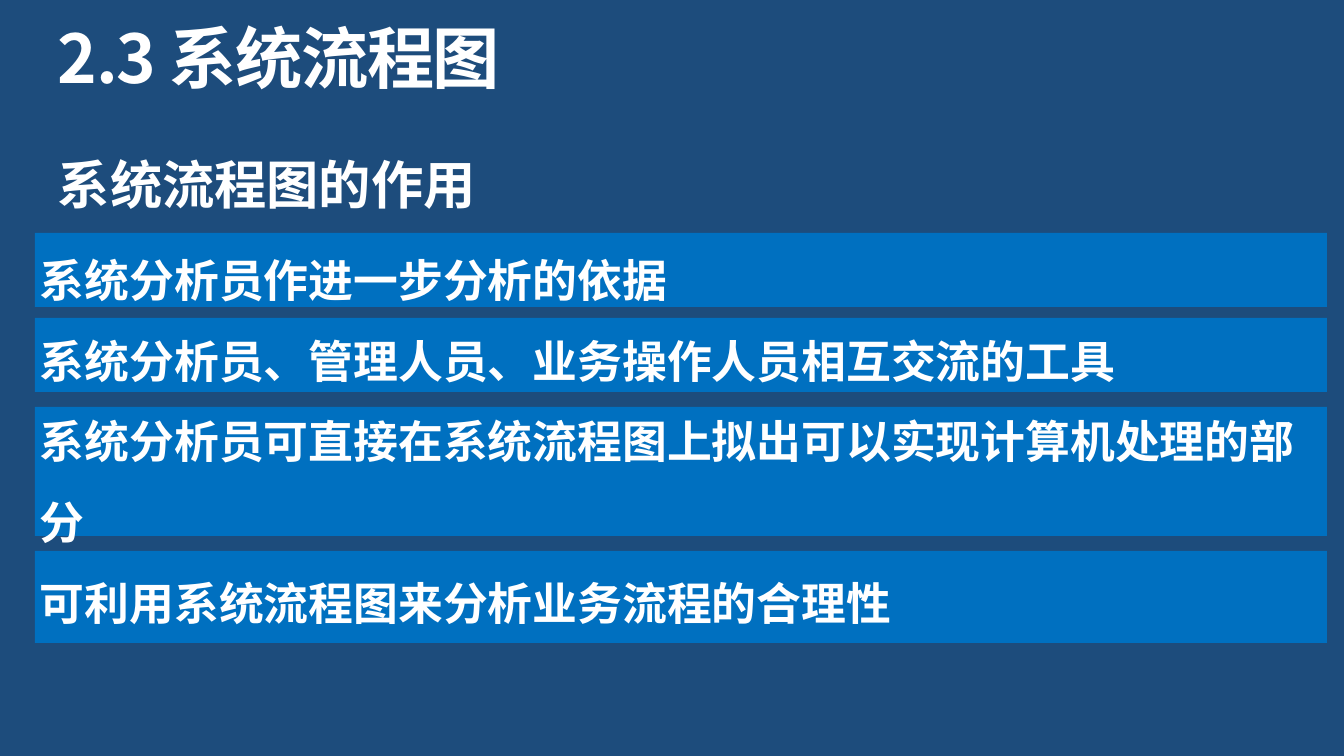
from dataclasses import dataclass

from pptx import Presentation
from pptx.dml.color import RGBColor
from pptx.enum.shapes import MSO_SHAPE
from pptx.enum.text import MSO_ANCHOR
from pptx.oxml.ns import qn
from pptx.util import Emu, Pt

RECT = MSO_SHAPE.RECTANGLE
TOP, MIDDLE = MSO_ANCHOR.TOP, MSO_ANCHOR.MIDDLE

PX = 914400 / 134.4  # EMU in one px
FONT = "Noto Sans CJK SC"
COLORS = {"background": "1D4C7C", "band": "0070C0", "text": "FFFFFF"}


@dataclass
class Band:
    top: int
    height: int


@dataclass
class TextBlock:
    left: int
    top: int
    width: int
    height: int
    lines: list[str]
    size: int
    line_spacing: float
    anchor: int = MIDDLE
    inset_x: int = 0
    inset_y: int = 0


BAND_LEFT, BAND_WIDTH = 35, 1292
BANDS = [Band(233, 74), Band(318, 74), Band(407, 129), Band(551, 92)]

TITLE = TextBlock(58, 25, 1230, 74, ["2.3 系统流程图"], 36, 0.9)
SUBTITLE = TextBlock(58, 160, 1230, 56, ["系统流程图的作用"], 28, 0.9)
USES = TextBlock(27, 219, 1302, 421, [
    "系统分析员作进一步分析的依据",
    "系统分析员、管理人员、业务操作人员相互交流的工具",
    "系统分析员可直接在系统流程图上拟出可以实现计算机处理的部分",
    "可利用系统流程图来分析业务流程的合理性",
], 24, 1.5, TOP, 13, 7)


def px(n: int) -> Emu:
    return Emu(round(n * PX))


def color(name: str) -> RGBColor:
    return RGBColor.from_string(COLORS[name])


def draw_band(slide, band: Band) -> None:
    sp = slide.shapes.add_shape(RECT, px(BAND_LEFT), px(band.top),
                                px(BAND_WIDTH), px(band.height))
    sp.shadow.inherit = False
    sp.fill.solid()
    sp.fill.fore_color.rgb = color("band")
    sp.line.fill.background()


def format_run(r, size: int) -> None:
    r.font.size = Pt(size)
    r.font.bold = True
    r.font.color.rgb = color("text")
    r.font.name = FONT
    # East Asian text takes its own typeface element
    ea = r._r.get_or_add_rPr().makeelement(qn("a:ea"), {"typeface": FONT})
    r.font._element.find(qn("a:latin")).addnext(ea)


def draw_text(slide, block: TextBlock):
    sp = slide.shapes.add_textbox(px(block.left), px(block.top),
                                  px(block.width), px(block.height))
    tf = sp.text_frame
    tf.word_wrap = True
    tf.vertical_anchor = block.anchor
    tf.margin_left = tf.margin_right = px(block.inset_x)
    tf.margin_top = tf.margin_bottom = px(block.inset_y)
    tf.text = "\n".join(block.lines)
    for p in tf.paragraphs:
        p.line_spacing = block.line_spacing
        for r in p.runs:
            format_run(r, block.size)
    return tf


def main() -> None:
    prs = Presentation()
    prs.slide_width, prs.slide_height = px(1344), px(756)
    slide = prs.slides.add_slide(prs.slide_layouts[6])
    slide.background.fill.solid()
    slide.background.fill.fore_color.rgb = color("background")

    # Bands behind the list
    for band in BANDS:
        draw_band(slide, band)

    # Title, slightly tightened, and subtitle
    title = draw_text(slide, TITLE)
    title.paragraphs[0].runs[0]._r.get_or_add_rPr().set("spc", "-80")
    draw_text(slide, SUBTITLE)

    # Uses of the system flowchart
    draw_text(slide, USES)

    prs.save("out.pptx")


if __name__ == "__main__":
    main()
